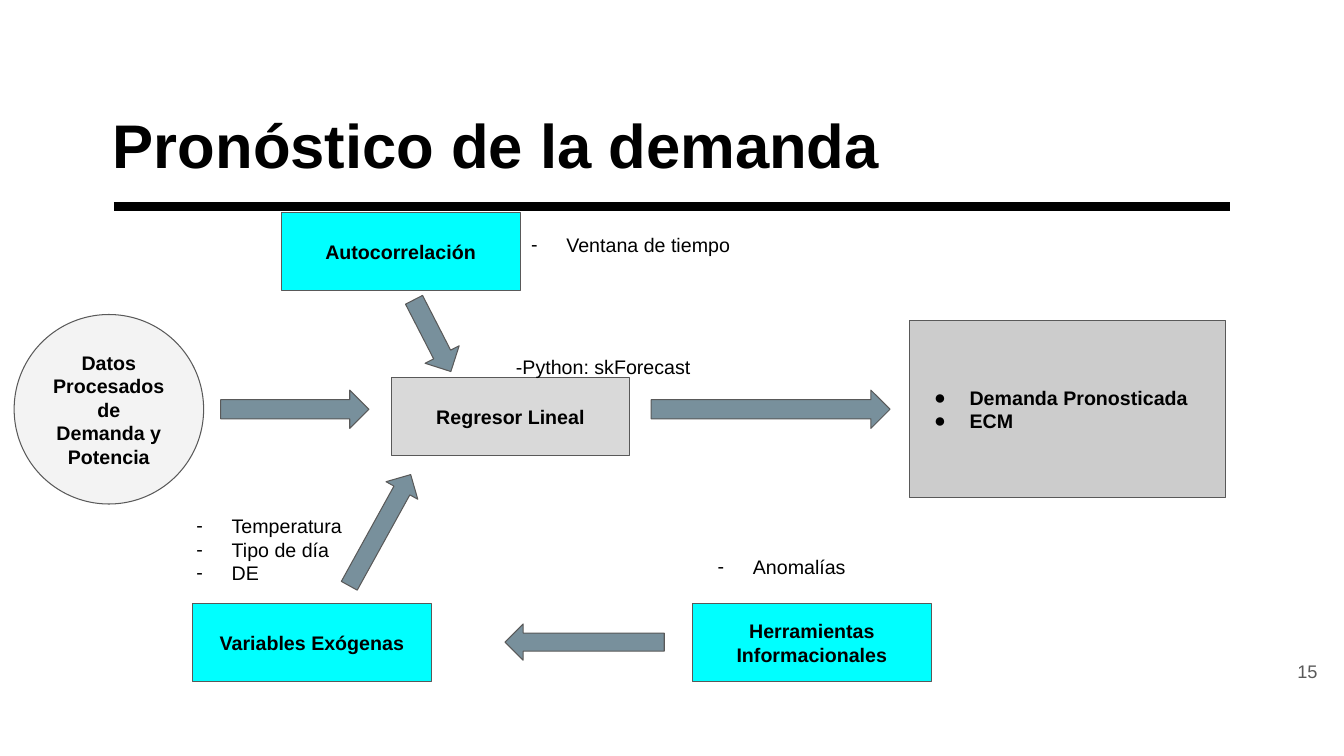
"""Build the demand forecast flow slide."""
from lxml.etree import SubElement
from pptx import Presentation
from pptx.dml.color import RGBColor
from pptx.enum.shapes import MSO_CONNECTOR, MSO_SHAPE
from pptx.enum.text import MSO_ANCHOR, MSO_AUTO_SIZE, PP_ALIGN
from pptx.oxml.ns import qn
from pptx.util import Inches, Pt

COLOURS = {
    "ink": "000000", "outline": "595959", "input": "00FFFF", "arrow": "78909C",
    "model": "D9D9D9", "result": "CCCCCC", "data": "F3F3F3",
}
CELL = Inches(0.1)
COLUMNS, ROWS = 133.33, 75
NODE_WIDTH, NODE_HEIGHT = 23.7, 7.7
TOP_ROW, MODEL_ROW, BOTTOM_ROW = 21.1, 37.5, 59.9
FLOW_ROW, ARROW_THICKNESS = 38.7, 3.8


def grid(*cells):
    """Turn grid counts into lengths."""
    return [round(cell * CELL) for cell in cells]


def write(shape, lines, size=14, bold=False, colour="ink", align=PP_ALIGN.LEFT,
          anchor=MSO_ANCHOR.TOP, margins=(1, 1), bullet=None, spacing=None):
    """Fill a shape with one paragraph per line."""
    frame = shape.text_frame
    frame.word_wrap = True
    frame.auto_size = MSO_AUTO_SIZE.NONE
    frame.vertical_anchor = anchor
    frame.margin_left = frame.margin_right = round(margins[0] * CELL)
    frame.margin_top = frame.margin_bottom = round(margins[1] * CELL)
    frame.text = "\n".join(lines)
    for para in frame.paragraphs:
        para.alignment = align
        if spacing:
            para.line_spacing = spacing
        if bullet:
            properties = para._p.get_or_add_pPr()
            properties.set("marL", str(Inches(0.5)))
            properties.set("indent", str(Inches(-0.35)))
            bullet_colour = SubElement(properties, qn("a:buClr"))
            SubElement(bullet_colour, qn("a:srgbClr"), val=COLOURS["ink"])
            SubElement(properties, qn("a:buFont"), typeface="Arial")
            SubElement(properties, qn("a:buChar"), char=bullet)
        para.font.name = "Arial"
        para.font.size = Pt(size)
        para.font.bold = bold
        para.font.color.rgb = RGBColor.from_string(COLOURS[colour])


deck = Presentation()
deck.slide_width, deck.slide_height = grid(COLUMNS, ROWS)
page = deck.slides.add_slide(deck.slide_layouts[5])

rule = page.shapes.add_connector(MSO_CONNECTOR.STRAIGHT, *grid(11.3, 20.5, 122, 20.5))
rule.line.color.rgb = RGBColor.from_string(COLOURS["ink"])
rule.line.width = Pt(6)
SubElement(rule._element.spPr, qn("a:effectLst"))

title = page.shapes.title
title.left, title.top, title.width, title.height = grid(11.2, 10.9, 85.4, 7.1)
write(title, ["Pronóstico de la demanda"], size=44, bold=True,
      anchor=MSO_ANCHOR.BOTTOM, margins=(0, 0), spacing=0.9)

number = page.shapes.add_textbox(*grid(125.7, 65.2, 6, 3))
write(number, ["15"], size=13, colour="outline", align=PP_ALIGN.RIGHT,
      anchor=MSO_ANCHOR.MIDDLE, margins=(1, 0.5), spacing=0.9)

node_size = (NODE_WIDTH, NODE_HEIGHT)
centred = {"align": PP_ALIGN.CENTER}
nodes = [
    (MSO_SHAPE.RECTANGLE, (68.7, BOTTOM_ROW, *node_size), "input",
     ["Herramientas Informacionales"], centred),
    (MSO_SHAPE.RECTANGLE, (90.2, 31.8, 31.4, 17.6), "result",
     ["Demanda Pronosticada", "ECM"], {"bullet": "●"}),
    (MSO_SHAPE.RECTANGLE, (19.1, BOTTOM_ROW, *node_size), "input",
     ["Variables Exógenas"], centred),
    (MSO_SHAPE.RECTANGLE, (38.8, MODEL_ROW, *node_size), "model",
     ["Regresor Lineal"], centred),
    (MSO_SHAPE.OVAL, (1.4, 31.2, 18.8, 18.8), "data",
     ["Datos Procesados de Demanda y Potencia"], centred),
    (MSO_SHAPE.RECTANGLE, (27.9, TOP_ROW, *node_size), "input",
     ["Autocorrelación"], centred),
]
arrows = [
    (MSO_SHAPE.RIGHT_ARROW, (21.9, FLOW_ROW, 14.7, ARROW_THICKNESS), 0),
    (MSO_SHAPE.RIGHT_ARROW, (64.6, FLOW_ROW, 23.7, ARROW_THICKNESS), 0),
    (MSO_SHAPE.UP_ARROW, (35.9, 46.3, 3.6, 12.6), 28.9),
    (MSO_SHAPE.UP_ARROW, (56.2, 55.8, 3.6, 15.8), 270),
    (MSO_SHAPE.UP_ARROW, (41, 29.3, ARROW_THICKNESS, 8), 152.8),
]
drawn = []
for kind, place, fill, lines, style in nodes:
    node = page.shapes.add_shape(kind, *grid(*place))
    write(node, lines, bold=True, anchor=MSO_ANCHOR.MIDDLE, **style)
    drawn.append((node, fill))
for kind, place, turn in arrows:
    arrow = page.shapes.add_shape(kind, *grid(*place))
    arrow.rotation = turn
    drawn.append((arrow, "arrow"))
for shape, fill in drawn:
    shape.shadow.inherit = False
    shape.fill.solid()
    shape.fill.fore_color.rgb = RGBColor.from_string(COLOURS[fill])
    shape.line.color.rgb = RGBColor.from_string(COLOURS["outline"])
    shape.line.width = Pt(0.75)

notes = [
    ((17, 50, 19.7, 8.9), ["Temperatura", "Tipo de día", "DE"], "-"),
    ((68.7, 54.1, 18.8, 3), ["Anomalías"], "-"),
    ((50.2, 22.1, 28.7, 3.8), ["Ventana de tiempo"], "-"),
    ((50.2, 34.2, 22.3, 3.8), ["-Python: skForecast"], None),
]
for place, lines, bullet in notes:
    write(page.shapes.add_textbox(*grid(*place)), lines, bullet=bullet)

deck.save("out.pptx")
